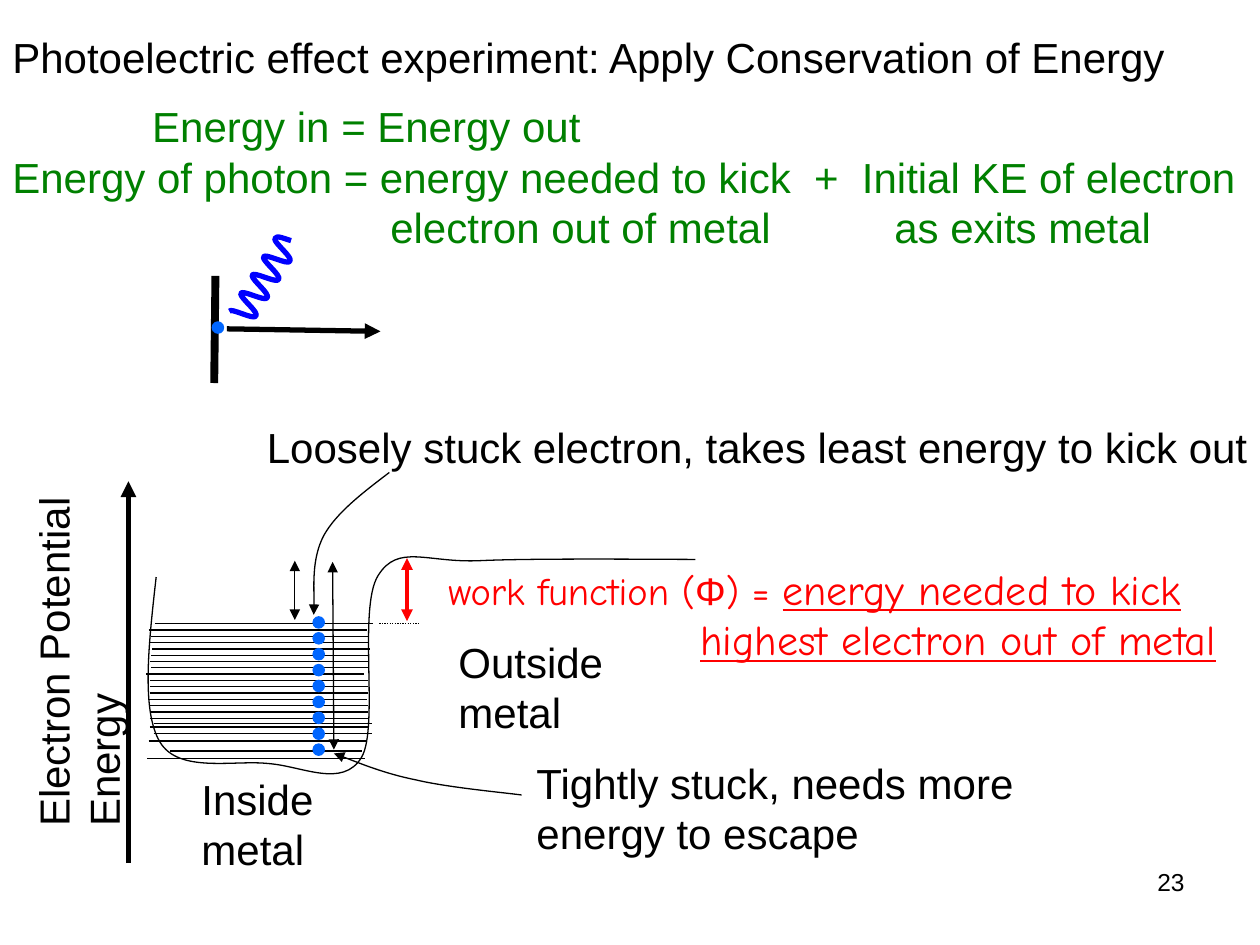
from pptx import Presentation
from pptx.dml.color import RGBColor
from pptx.enum.dml import MSO_LINE
from pptx.enum.shapes import MSO_CONNECTOR, MSO_SHAPE
from pptx.enum.text import PP_ALIGN
from pptx.oxml.ns import qn
from pptx.util import Inches, Pt
from lxml.etree import SubElement

BLACK = RGBColor(0, 0, 0)
RED = RGBColor(255, 0, 0)
GREEN = RGBColor(0, 128, 0)
BLUE = RGBColor(0, 0, 255)
AZURE = RGBColor(0, 102, 255)

PLAIN = {"name": "Arial", "size": Pt(24)}
COMIC = {"name": "Comic Neue", "size": Pt(22)}
UNDER = {"name": "Comic Neue", "size": Pt(24), "underline": True}
PHI = {"name": "Arial", "size": Pt(22)}
SMALL = {"name": "Arial", "size": Pt(14)}


def write(slide, box, rows, color=BLACK, form=PLAIN, wrap=True, turn=0, indents=()):
    """Add a text box; each row is a string or a list of (text, format) pairs."""
    shape = slide.shapes.add_textbox(*map(Inches, box))
    shape.rotation = turn
    frame = shape.text_frame
    frame.word_wrap = wrap
    for i, row in enumerate(rows):
        para = frame.paragraphs[0] if i == 0 else frame.add_paragraph()
        if i < len(indents):
            props = para._p.get_or_add_pPr()
            props.set("marL", str(Inches(indents[i])))
            props.set("indent", "0")
        for text, style in [(row, form)] if isinstance(row, str) else row:
            run = para.add_run()
            run.text = text
            run.font.color.rgb = color
            for key, value in style.items():
                setattr(run.font, key, value)
    return shape


def set_tabs(para, stops):
    """Give a paragraph left tab stops."""
    tabs = SubElement(para._p.get_or_add_pPr(), qn("a:tabLst"))
    for stop in stops:
        SubElement(tabs, qn("a:tab"), pos=str(Inches(stop)), algn="l")


def stroke(shape, color, width, ends, dash=None):
    """Style an outline and put arrowheads on the named ends."""
    shape.line.color.rgb = color
    shape.line.width = Pt(width)
    if dash:
        shape.line.dash_style = dash
    line = shape._element.spPr.find(qn("a:ln"))
    for end in ends:
        SubElement(line, qn(f"a:{end}End"), type="triangle")


def draw(slide, start, stop, color=BLACK, width=0.75, ends=(), dash=None):
    """Add a straight line between two points."""
    line = slide.shapes.add_connector(
        MSO_CONNECTOR.STRAIGHT, *map(Inches, (*start, *stop)))
    stroke(line, color, width, ends, dash)
    SubElement(line._element.spPr, qn("a:effectLst"))


def curve(slide, x, y, points, color=BLACK, width=0.75, ends=()):
    """Add an open Bezier curve: a start point, then triples of points."""
    spots = [(Inches(x + a), Inches(y + b)) for a, b in points]
    pen = slide.shapes.build_freeform(*spots[0])
    pen.add_line_segments(spots[1:], close=False)
    shape = pen.convert_to_shape()
    shape.shadow.inherit = False
    shape.fill.background()
    stroke(shape, color, width, ends)
    trail = next(shape._element.iter(qn("a:path")))
    steps = trail.findall(qn("a:lnTo"))
    for i in range(0, len(steps), 3):
        bend = SubElement(trail, qn("a:cubicBezTo"))
        for step in steps[i:i + 3]:
            bend.append(step[0])
            trail.remove(step)


def dot(slide, x, y):
    """Add one electron."""
    shape = slide.shapes.add_shape(
        MSO_SHAPE.OVAL, *map(Inches, (x, y, 0.1, 0.1)))
    shape.shadow.inherit = False
    shape.fill.solid()
    shape.fill.fore_color.rgb = AZURE
    shape.line.fill.background()


def head(slide, x, y, w):
    """Place the title and the energy balance."""
    write(slide, (x, y, w, 0.5),
          ["Photoelectric effect experiment: Apply Conservation of Energy"])
    shape = write(slide, (x, y + 0.55, w, 1.3),
                  ["Energy in = Energy out",
                   "Energy of photon = energy needed to kick  +  Initial KE of electron",
                   "\telectron out of metal\tas exits metal"],
                  GREEN, indents=(1.11,))
    set_tabs(shape.text_frame.paragraphs[2], (3, 7))


def plate(slide, x, y):
    """Place the metal plate, the photon and the ejected electron."""
    draw(slide, (x + 0.11, y + 0.39), (x + 0.1, y + 1.24), width=4.5)
    cycle = [(0.01, -0.03), (0.19, 0.07), (0.21, 0.04),
             (0.24, 0.01), (0.09, -0.1), (0.09, -0.14)]
    wave = [(0, 0)]
    for i in range(4):
        wave += [(a + 0.09 * i, b - 0.58 / 4 * i) for a, b in cycle]
    wave += [(0.37, -0.61), (0.45, -0.57), (0.49, -0.56)]
    curve(slide, x + 0.22, y + 0.67, wave, BLUE, 3)
    dot(slide, x + 0.08, y + 0.75)
    draw(slide, (x + 0.2, y + 0.81), (x + 1.42, y + 0.83), width=3, ends=["tail"])


def well(slide, x, y):
    """Place the potential well with its axis, levels and electrons."""
    curve(slide, x, y, [
        (0.24, 0.88), (0.18, 1.41), (0.12, 1.94), (0.27, 2.19),
        (0.42, 2.44), (0.86, 2.33), (1.13, 2.36),
        (1.4, 2.38), (1.72, 2.56), (1.87, 2.31),
        (2.01, 2.07), (1.84, 1.13), (2, 0.87),
        (2.16, 0.61), (2.39, 0.77), (2.81, 0.75),
        (3.23, 0.73), (4.24, 0.74), (4.52, 0.74)])
    write(slide, (x - 1.81, y + 1.08, 2.86, 0.9),
          ["Electron Potential", "Energy"], turn=270)
    draw(slide, (x + 0.02, y + 3.15), (x + 0.02, y + 0.12), width=3, ends=["tail"])
    lefts = [0.23, 0.18, 0.2, 0.19, 0.21, 0.2, 0.19, 0.2, 0.16, 0.19, 0.19,
             0.19, 0.18, 0.19, 0.19, 0.19, 0.22, 0.19, 0.22, 0.18, 0.35, 0.17]
    tops = [1.25 + 0.05 * i for i in range(16)] + [2.04, 2.07, 2.12, 2.18, 2.26, 2.32]
    for left, top in zip(lefts, tops):
        right = min(left + 1.73, 1.96) if left < 0.3 else 1.87
        draw(slide, (x + left, y + top), (x + right, y + top))
    for i in range(9):
        dot(slide, x + 1.48, y + 1.19 + 1.01 / 8 * i)
    both = ["head", "tail"]
    draw(slide, (x + 2.01, y + 1.25), (x + 2.33, y + 1.25), dash=MSO_LINE.ROUND_DOT)
    draw(slide, (x + 2.23, y + 0.73), (x + 2.23, y + 1.23), RED, 2.25, both)
    draw(slide, (x + 1.34, y + 0.75), (x + 1.34, y + 1.22), ends=both)
    draw(slide, (x + 1.64, y + 0.76), (x + 1.65, y + 2.25), ends=both)


def notes(slide, x, y):
    """Place the labels around the well and their pointers."""
    write(slide, (x, y, 7.98, 0.5),
          ["Loosely stuck electron, takes least energy to kick out"], wrap=False)
    curve(slide, x, y, [
        (1.07, 0.45), (0.86, 0.61), (0.65, 0.77), (0.55, 0.95),
        (0.45, 1.14), (0.48, 1.47), (0.47, 1.58)], ends=["tail"])
    write(slide, (x + 1.44, y + 1.12, 6.39, 0.9), [
        [("work function (", COMIC), ("Φ", PHI), (") = ", COMIC),
         ("energy needed to kick", UNDER)],
        [("highest electron out of metal", UNDER)]], RED, indents=(0, 2))
    write(slide, (x + 1.52, y + 1.7, 1.44, 0.9), ["Outside", "metal"])
    write(slide, (x - 0.52, y + 2.79, 1.18, 0.9), ["Inside", "metal"])
    curve(slide, x, y, [
        (0.63, 2.68), (0.74, 2.72), (1.03, 2.84), (1.28, 2.89),
        (1.53, 2.95), (1.97, 2.99), (2.12, 3.01)], ends=["head"])
    write(slide, (x + 2.14, y + 2.66, 4.76, 0.9),
          ["Tightly stuck, needs more energy to escape"])


def foot(slide, x, y, w):
    """Place the slide number."""
    shape = write(slide, (x, y, w, 0.52), ["23"], form=SMALL)
    shape.text_frame.paragraphs[0].alignment = PP_ALIGN.RIGHT


def main():
    """Build and save the slide."""
    deck = Presentation()
    deck.slide_width, deck.slide_height = Inches(10), Inches(7.5)
    slide = deck.slides.add_slide(deck.slide_layouts[6])
    head(slide, 0, 0.2, 10)
    plate(slide, 1.6, 1.8)
    well(slide, 1, 3.7)
    notes(slide, 2.02, 3.3)
    foot(slide, 7.17, 6.83, 2.33)
    deck.save("out.pptx")


if __name__ == "__main__":
    main()
